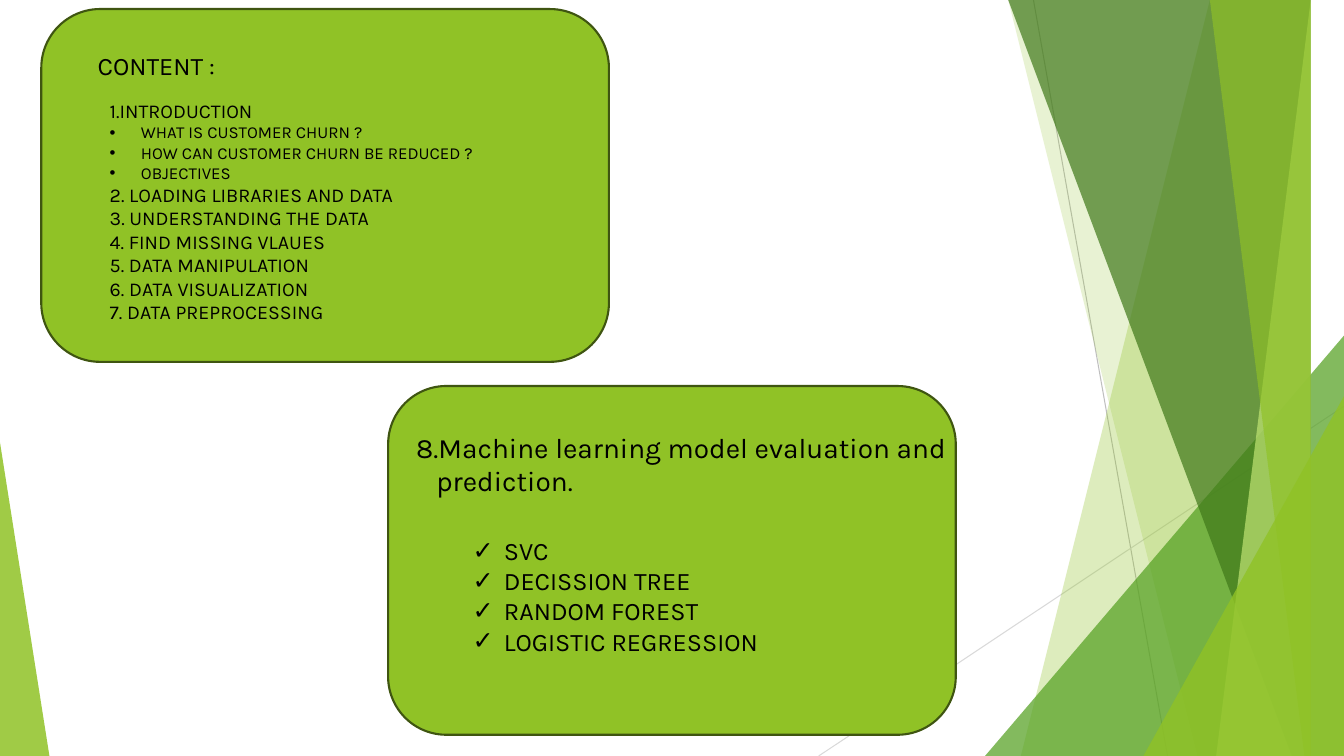
from lxml.etree import SubElement as Sub
from pptx import Presentation
from pptx.dml.color import RGBColor as RGB
from pptx.enum.shapes import MSO_CONNECTOR as Link, MSO_SHAPE as Kind
from pptx.enum.text import MSO_AUTO_SIZE as Auto
from pptx.oxml.ns import qn
from pptx.util import Inches as In, Pt

W, H = 13.33, 7.5
LIME, MOSS = "90C226", "3F5511"
HANG = 0.31

deck = Presentation()
deck.slide_width, deck.slide_height = In(W), In(H)
slide = deck.slides.add_slide(deck.slide_layouts[6])
shapes = slide.shapes


def paint(fill, tone):
    fill.solid()
    fill.fore_color.rgb = RGB.from_string(tone)


def write(left, top, wide, high, rows):
    """Add a text box; each row is text, size, bullet mark, left margin."""
    box = shapes.add_textbox(In(left), In(top), In(wide), In(high))
    frame = box.text_frame
    frame.word_wrap = True
    frame.auto_size = Auto.SHAPE_TO_FIT_TEXT
    for i, (text, size, mark, margin) in enumerate(rows):
        para = frame.paragraphs[0] if i == 0 else frame.add_paragraph()
        para.text = text
        font = para.runs[0].font
        font.name, font.size = "Karla", Pt(size)
        paint(font.fill, "000000")
        props = para._p.get_or_add_pPr()
        props.set("marL", str(In(margin)))
        if mark:
            props.set("indent", str(-In(margin)))
            Sub(props, qn("a:buFont"), typeface="Arial")
            Sub(props, qn("a:buChar"), char=mark)


# Thin lines behind the shards
for x1, y1, x2, y2, tone in [
    (10.25, 0, 11.58, H, "BFBFBF"),
    (W, 4.03, 8.12, H, "D9D9D9"),
]:
    line = shapes.add_connector(Link.STRAIGHT, In(x1), In(y1), In(x2), In(y2))
    line.line.width = Pt(0.75)
    paint(line.line.fill, tone)
    Sub(line._element.spPr, qn("a:effectLst"))

# Blades run from a top x to a bottom x, and fill out to the right edge.
# Wedges stand on the bottom edge: left, width, height, tip.
for form, tone, alpha in [
    ((12.28, 10.04), LIME, 30),
    ((10.5, 11.83), LIME, 20),
    ((9.77, 3.56, 4.17, 1), "54A021", 72),
    ((10.21, 12.91), "3F7819", 70),
    ((13.03, 11.92), "C0E474", 70),
    ((11.96, 13.18), LIME, 65),
    ((11.34, 1.99, 3.57, 1), LIME, 80),
    ((0, 0.49, 3.11, 0), LIME, 85),
]:
    if len(form) == 2:
        head, foot = form
        pen = shapes.build_freeform(head, 0, scale=In(1))
        pen.add_line_segments([(W, 0), (W, H), (foot, H)])
        shard = pen.convert_to_shape()
    else:
        left, wide, high, tip = form
        shard = shapes.add_shape(
            Kind.ISOSCELES_TRIANGLE, In(left), In(H - high), In(wide), In(high))
        shard.adjustments[0] = tip
    shard.shadow.inherit = False
    shard.line.fill.background()
    paint(shard.fill, tone)
    clr = shard._element.spPr.find(f"{qn('a:solidFill')}/{qn('a:srgbClr')}")
    Sub(clr, qn("a:alpha"), val=str(alpha * 1000))

# Cards
for left, top, high in [(0.41, 0.09, 3.5), (3.85, 3.83, 3.46)]:
    card = shapes.add_shape(
        Kind.ROUNDED_RECTANGLE, In(left), In(top), In(5.63), In(high))
    card.shadow.inherit = False
    paint(card.fill, LIME)
    paint(card.line.fill, MOSS)
    card.line.width = Pt(1.5)

# Contents
intro = ["WHAT IS CUSTOMER CHURN ?", "HOW CAN CUSTOMER CHURN BE REDUCED ?",
         "OBJECTIVES"]
steps = ["LOADING LIBRARIES AND DATA", "UNDERSTANDING THE DATA",
         "FIND MISSING VLAUES", "DATA MANIPULATION", "DATA VISUALIZATION",
         "DATA PREPROCESSING"]
models = ["SVC", "DECISSION TREE", "RANDOM FOREST", "LOGISTIC REGRESSION"]

write(0.99, 0.93, 4.46, 2.66,
      [("1.INTRODUCTION", 14, "", 0)]
      + [(text, 12, "•", HANG) for text in intro]
      + [(f"{n}. {text}", 14, "", 0) for n, text in enumerate(steps, 2)])
write(0.87, 0.45, 1.94, 0.41, [("CONTENT :", 18, "", 0)])
write(4.03, 4.22, 6.1, 0.77,
      [("8.Machine learning model evaluation and", 20, "", 0),
       ("prediction.", 20, "", 0.2)])
write(4.59, 5.26, 4.46, 1.31, [(text, 18, "✓", HANG) for text in models])

deck.save("out.pptx")
